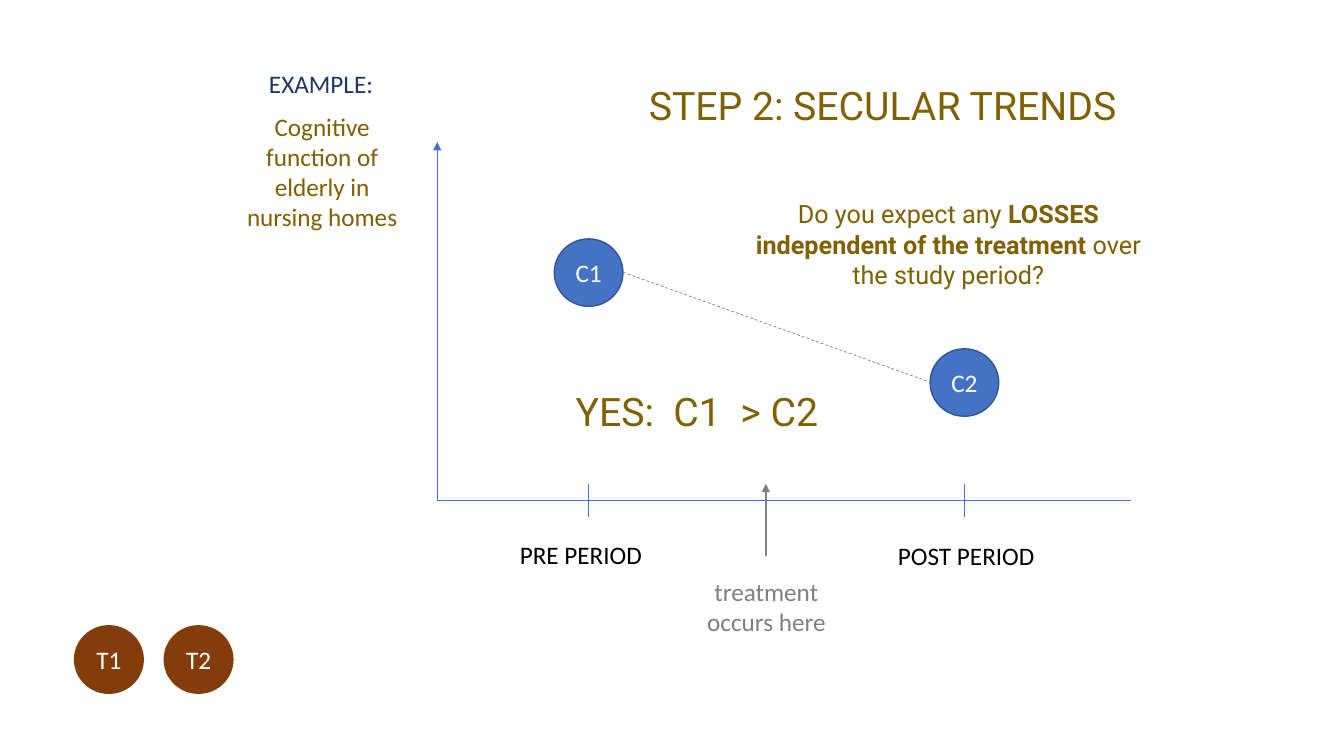
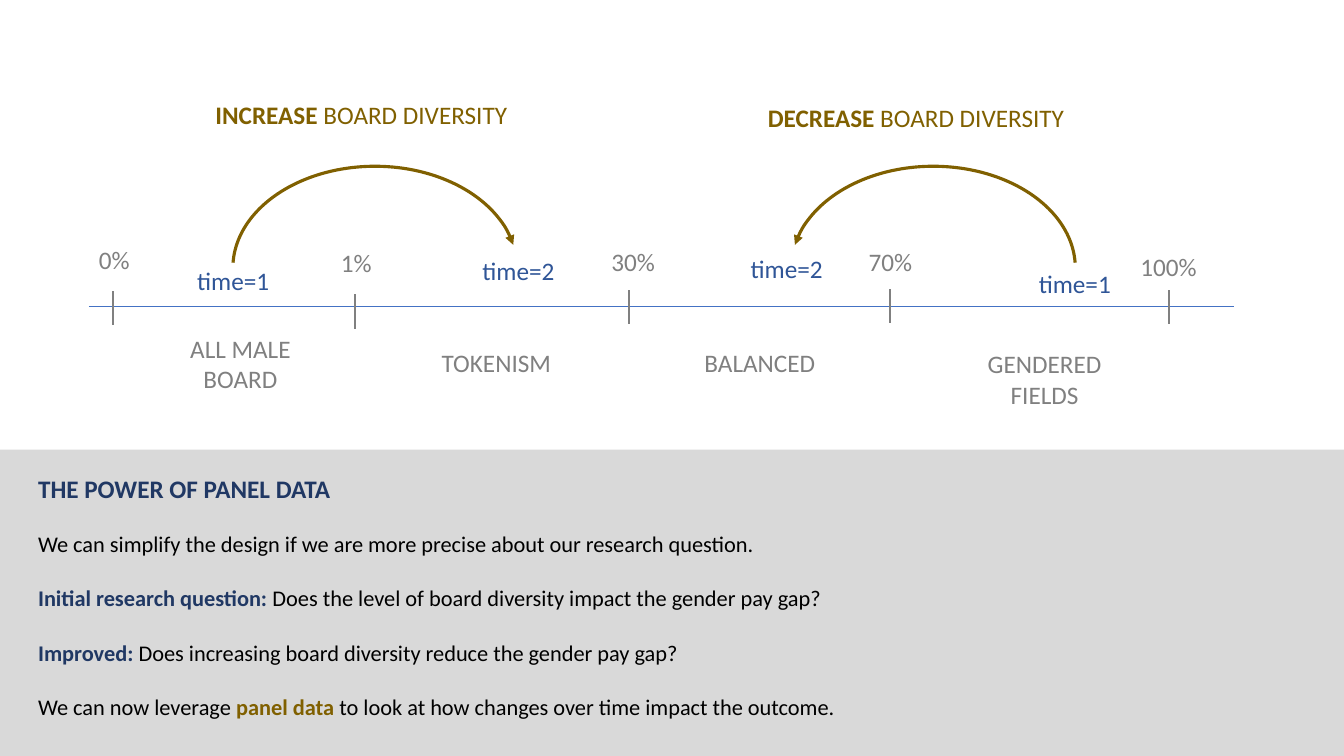
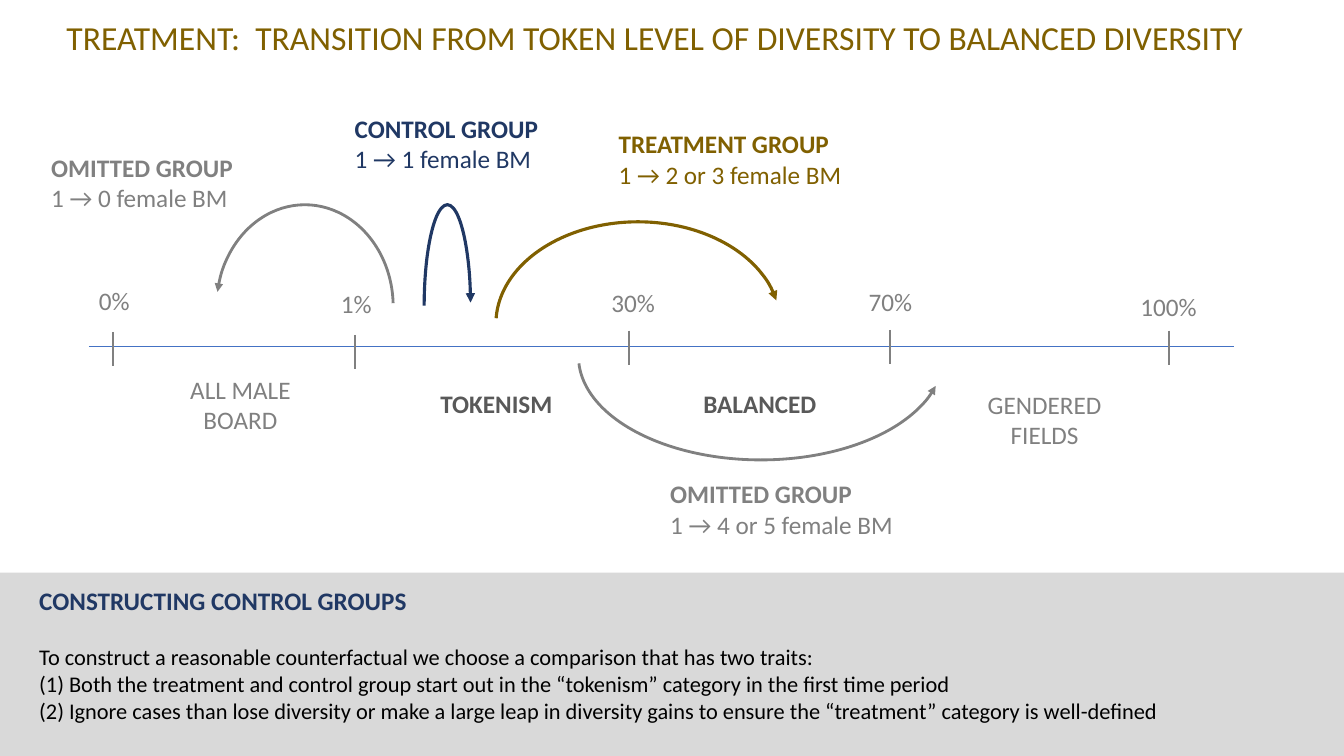
from lxml import etree
from pptx import Presentation
from pptx.dml.color import RGBColor
from pptx.enum.dml import MSO_LINE
from pptx.enum.shapes import MSO_CONNECTOR, MSO_SHAPE
from pptx.enum.text import MSO_ANCHOR, MSO_AUTO_SIZE, PP_ALIGN
from pptx.oxml.ns import qn
from pptx.util import Cm, Pt

LEFT, CENTER = PP_ALIGN.LEFT, PP_ALIGN.CENTER
TOP, MIDDLE = MSO_ANCHOR.TOP, MSO_ANCHOR.MIDDLE
FIT, FIXED = MSO_AUTO_SIZE.SHAPE_TO_FIT_TEXT, MSO_AUTO_SIZE.NONE
OVAL, RECT, ARC = MSO_SHAPE.OVAL, MSO_SHAPE.RECTANGLE, MSO_SHAPE.ARC
STRAIGHT, DASH = MSO_CONNECTOR.STRAIGHT, MSO_LINE.DASH
TITLE_ONLY, BLANK = 5, 6

COLORS = {
    "black": "000000", "white": "FFFFFF", "gray": "808080", "dark": "595959",
    "panel": "D9D9D9", "blue": "4472C4", "edge": "325491", "time": "2F5597",
    "navy": "203864", "gold": "806000", "brown": "843C0B",
}
SLIDE_W, SLIDE_H = 33.87, 19.05
LINE_1, LINE_2 = 1.02, 1.8      # box heights for one and two lines of text
GAP = 19.5                      # points, one line of body text
ARC_ANGLES = (109.297, 210.281)

BASE = {"name": "Calibri", "size": 18, "bold": False, "color": "gray"}
BODY = {"size": 16, "color": "black"}
HEADING = {"color": "navy", "bold": True}
GOLD = {"color": "gold"}
GOLD_BOLD = {"color": "gold", "bold": True}
ROBOTO = {"name": "Roboto", "color": "gold"}
BIG = {**ROBOTO, "size": 28}
TERM = {**BODY, **HEADING}


def rgb(name):
    """Return the named colour."""
    return RGBColor.from_string(COLORS[name])


class Deck:
    """Hold the shared style and the slide being built."""

    def __init__(self):
        """Start an empty widescreen deck."""
        self.prs = Presentation()
        self.prs.slide_width, self.prs.slide_height = Cm(SLIDE_W), Cm(SLIDE_H)
        self.slide = None

    def new_slide(self, layout):
        """Add a slide and make it current."""
        self.slide = self.prs.slides.add_slide(self.prs.slide_layouts[layout])

    def fill_text(self, sp, paragraphs, align, frame, gaps):
        """Write paragraphs, each a list of (text, format) runs."""
        tf = sp.text_frame
        for key, value in frame.items():
            setattr(tf, key, value)
        for i, runs in enumerate(paragraphs):
            p = tf.add_paragraph() if i else tf.paragraphs[0]
            p.alignment = align
            if i in gaps:
                p.space_before = Pt(gaps[i])
            for text, changes in runs:
                self.add_runs(p, text, {**BASE, **changes})

    def add_runs(self, p, text, fmt):
        """Add text to a paragraph, with a line break at each newline."""
        values = {"name": fmt["name"], "size": Pt(fmt["size"]), "bold": fmt["bold"]}
        for i, part in enumerate(text.split("\n")):
            if i:
                p.add_line_break()
            r = p.add_run()
            r.text = part
            r.font.color.rgb = rgb(fmt["color"])
            for key, value in values.items():
                setattr(r.font, key, value)

    def text(self, box, *paragraphs, align=LEFT, wrap=False, gaps=()):
        """Add a text box that grows with its text."""
        sp = self.slide.shapes.add_textbox(*map(Cm, box))
        frame = {"word_wrap": wrap, "auto_size": FIT, "vertical_anchor": TOP}
        self.fill_text(sp, paragraphs, align, frame, gaps)

    def title(self, box, text, fmt, align=LEFT):
        """Place and format the title placeholder."""
        sp = self.slide.shapes.title
        sp.left, sp.top, sp.width, sp.height = map(Cm, box)
        frame = {"word_wrap": False, "auto_size": FIXED, "vertical_anchor": TOP}
        self.fill_text(sp, [[(text, fmt)]], align, frame, ())

    def shape(self, kind, box, fill=None, line=None, width=1):
        """Add a preset shape with an optional fill and outline."""
        sp = self.slide.shapes.add_shape(kind, *map(Cm, box))
        sp.shadow.inherit = False
        if fill:
            sp.fill.solid()
            sp.fill.fore_color.rgb = rgb(fill)
        else:
            sp.fill.background()
        if line:
            sp.line.color.rgb = rgb(line)
            sp.line.width = Pt(width)
        else:
            sp.line.fill.background()
        return sp

    def arrowhead(self, sp):
        """Put a triangle at the end of a line."""
        etree.SubElement(sp.line._get_or_add_ln(), qn("a:tailEnd"), type="triangle")

    def line(self, x1, y1, x2, y2, color="blue", width=0.5, arrow=False, dash=None):
        """Draw a straight line, with an arrowhead or dashes if asked."""
        sp = self.slide.shapes.add_connector(STRAIGHT, *map(Cm, (x1, y1, x2, y2)))
        sp.line.color.rgb = rgb(color)
        sp.line.width = Pt(width)
        if dash:
            sp.line.dash_style = dash
        if arrow:
            self.arrowhead(sp)
        etree.SubElement(sp.element.spPr, qn("a:effectLst"))

    def circle(self, x, y, label, fill="blue", line="edge"):
        """Draw a labelled group marker."""
        sp = self.shape(OVAL, (x, y, 1.73, 1.7), fill, line)
        frame = {"word_wrap": False, "vertical_anchor": MIDDLE}
        self.fill_text(sp, [[(label, {"color": "white"})]], CENTER, frame, ())

    def arc(self, box, color, width=2.25, flip=None):
        """Draw a curved arrow, mirrored by flipH or flipV."""
        sp = self.shape(ARC, box, line=color, width=width)
        for i, angle in enumerate(ARC_ANGLES):
            sp.adjustments[i] = angle
        if flip:
            sp.element.spPr.get_or_add_xfrm().set(flip, "1")
        self.arrowhead(sp)

    def panel(self, top, box, *paragraphs, gaps):
        """Draw the gray band at the foot and its text."""
        self.shape(RECT, (0, top, SLIDE_W, SLIDE_H - top), "panel")
        self.text(box, *paragraphs, wrap=True, gaps=gaps)

    def diversity_scale(self, y, middle):
        """Draw the board diversity axis at height y; middle formats its inner zones."""
        self.line(2.24, y, 31.09, y)
        zones = [
            ("ALL MALE BOARD", 4.22, 0.56, 3.68, LINE_2, {}),
            ("TOKENISM", 10.67, 0.91, 3.68, LINE_1, middle),
            ("BALANCED", 16.79, 0.91, 4.72, LINE_1, middle),
            ("GENDERED FIELDS", 23.77, 0.94, 5.11, LINE_2, {}),
        ]
        for name, x, dy, w, h, fmt in zones:
            self.text((x, y + dy, w, h), [(name, fmt)], align=CENTER, wrap=True)
        marks = [
            ("0%", 2.84, -0.38, 1.04, -1.68),
            ("1%", 8.94, -0.3, 7.14, -1.6),
            ("30%", 15.85, -0.41, 14.12, -1.63),
            ("70%", 22.43, -0.43, 20.6, -1.65),
            ("100%", 29.46, -0.41, 27.61, -1.52),
        ]
        for name, x, dy, label_x, label_dy in marks:
            self.line(x, y + dy, x, y + dy + 0.86, "gray", 1.5)
            self.text((label_x, y + label_dy, 3.68, LINE_1), [(name, {})],
                      align=CENTER, wrap=True)


def secular_trends(d):
    """Build the slide on trends in the control group."""
    d.new_slide(TITLE_ONLY)
    d.title((16.03, 1.93, 12.42, 1.45), "STEP 2: SECULAR TRENDS", BIG, CENTER)
    d.line(11.02, 12.62, 11.02, 3.58, arrow=True)
    d.line(11.05, 12.62, 28.5, 12.62)
    periods = [("PRE PERIOD", 14.83, 12.85, 13.46, 3.61),
               ("POST PERIOD", 24.31, 22.38, 13.49, 3.99)]
    for name, tick, x, y, w in periods:
        d.line(tick, 12.19, tick, 13.03)
        d.text((x, y, w, LINE_1), [(name, {"color": "black"})])
    d.circle(23.44, 8.79, "C2")
    d.circle(13.97, 6.02, "C1")
    for x, name in ((4.14, "T2"), (1.88, "T1")):
        d.circle(x, 15.77, name, "brown", "brown")
    d.line(15.7, 6.86, 23.44, 9.63, "gray", dash=DASH)
    d.line(19.3, 14.02, 19.3, 12.19, "gray", 1.25, arrow=True)
    d.text((17.55, 14.4, 3.53, LINE_2), [("treatment\noccurs here", {})], align=CENTER)
    d.text((6.53, 1.6, 3.18, LINE_1), [("EXAMPLE:", {"color": "navy"})])
    d.text((5.72, 2.67, 4.8, 3.33),
           [("Cognitive function of elderly in nursing homes", GOLD)],
           align=CENTER, wrap=True)
    d.text((13.79, 9.63, 7.54, 1.45), [("YES:  C1  > C2", BIG)], align=CENTER)
    d.text((18.64, 4.88, 10.52, 2.57),
           [("Do you expect any ", ROBOTO),
            ("LOSSES independent of the treatment ", {**ROBOTO, "bold": True}),
            ("over the study period?", ROBOTO)],
           align=CENTER, wrap=True)


def panel_data(d):
    """Build the slide on changes over time."""
    d.new_slide(BLANK)
    d.panel(
        11.33, (0.71, 11.79, 30.23, 7.19),
        [("THE POWER OF PANEL DATA", HEADING)],
        [("We can simplify the design if we are more precise about our "
          "research question.", BODY)],
        [("Initial research question: ", TERM),
         ("Does the level of board diversity impact the gender pay gap?", BODY)],
        [("Improved: ", TERM),
         ("Does increasing board diversity reduce the gender pay gap?", BODY)],
        [("We can now leverage ", BODY), ("panel data ", {**BODY, **GOLD_BOLD}),
         ("to look at how changes over time impact the outcome.", BODY)],
        gaps=dict.fromkeys(range(1, 5), GAP))
    d.diversity_scale(7.72, {})
    changes = [("INCREASE", 5.18, 2.39, 7.87, 5.87, None),
               ("DECREASE", 19.1, 2.46, 8, 19.94, "flipH")]
    for name, x, y, w, arc_x, flip in changes:
        d.arc((arc_x, 4.19, 7.16, 5.13), "gold", flip=flip)
        d.text((x, y, w, LINE_1), [(name, GOLD_BOLD), (" BOARD DIVERSITY", GOLD)])
    times = [(1, 4.72, 6.55), (2, 11.91, 6.32), (1, 25.93, 6.63), (2, 18.67, 6.25)]
    for n, x, y in times:
        d.text((x, y, 2.36, LINE_1), [(f"time={n}", {"color": "time"})])


def control_groups(d):
    """Build the slide on treatment, control and omitted groups."""
    d.new_slide(TITLE_ONLY)
    d.title((1.42, 0.3, 30.45, 1.27),
            "TREATMENT:  TRANSITION FROM TOKEN LEVEL OF DIVERSITY TO BALANCED DIVERSITY",
            {**GOLD, "size": 24})
    d.panel(
        14.43, (0.74, 14.63, 30.23, 4.45),
        [("CONSTRUCTING CONTROL GROUPS", HEADING)],
        [("To construct a reasonable counterfactual we choose a comparison "
          "that has two traits:", BODY)],
        [("(1) Both the treatment and control group start out in the “tokenism” "
          "category in the first time period", BODY)],
        [("(2) Ignore cases than lose diversity or make a large leap in diversity "
          "gains to ensure the “treatment” category is well-defined", BODY)],
        gaps={1: GAP})
    d.diversity_scale(8.74, {"color": "dark", "bold": True})
    d.arc((10.69, 5.16, 1.17, 5.13), "navy")
    d.arc((12.5, 5.59, 7.16, 5.13), "gold")
    d.arc((5.46, 5.16, 4.45, 5.13), "gray", 2, "flipH")
    d.arc((14.58, 6.38, 9.19, 5.21), "gray", 2, "flipV")
    groups = [
        ("TREATMENT", "2 or 3", "gold", 15.34, 3.12, 6.25),
        ("CONTROL", "1", "navy", 8.69, 2.72, 5.18),
        ("OMITTED", "0", "gray", 1.04, 3.71, 5.18),
        ("OMITTED", "4 or 5", "gray", 16.64, 11.94, 6.25),
    ]
    for name, after, color, x, y, w in groups:
        d.text((x, y, w, LINE_2),
               [(f"{name} GROUP\n", {"color": color, "bold": True}),
                (f"1 → {after} female BM", {"color": color})])


deck = Deck()
for build in (secular_trends, panel_data, control_groups):
    build(deck)
deck.prs.save("out.pptx")
